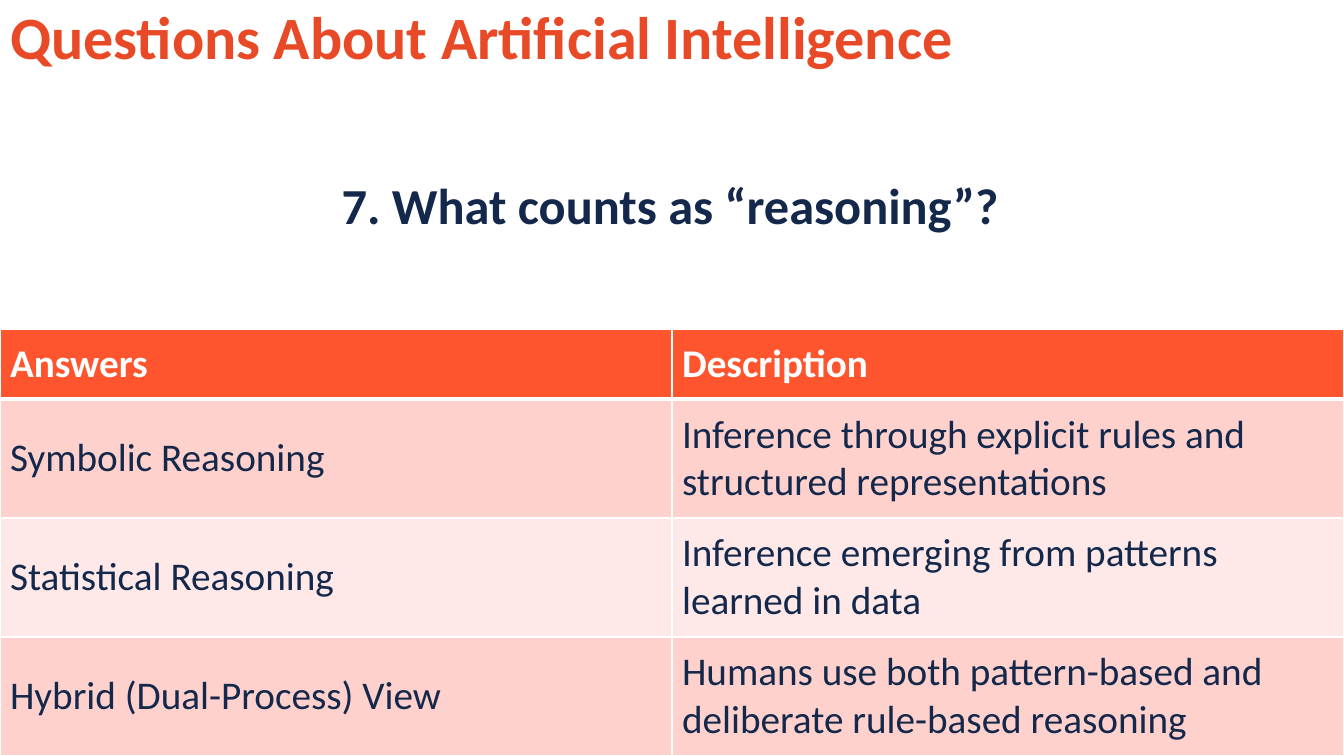
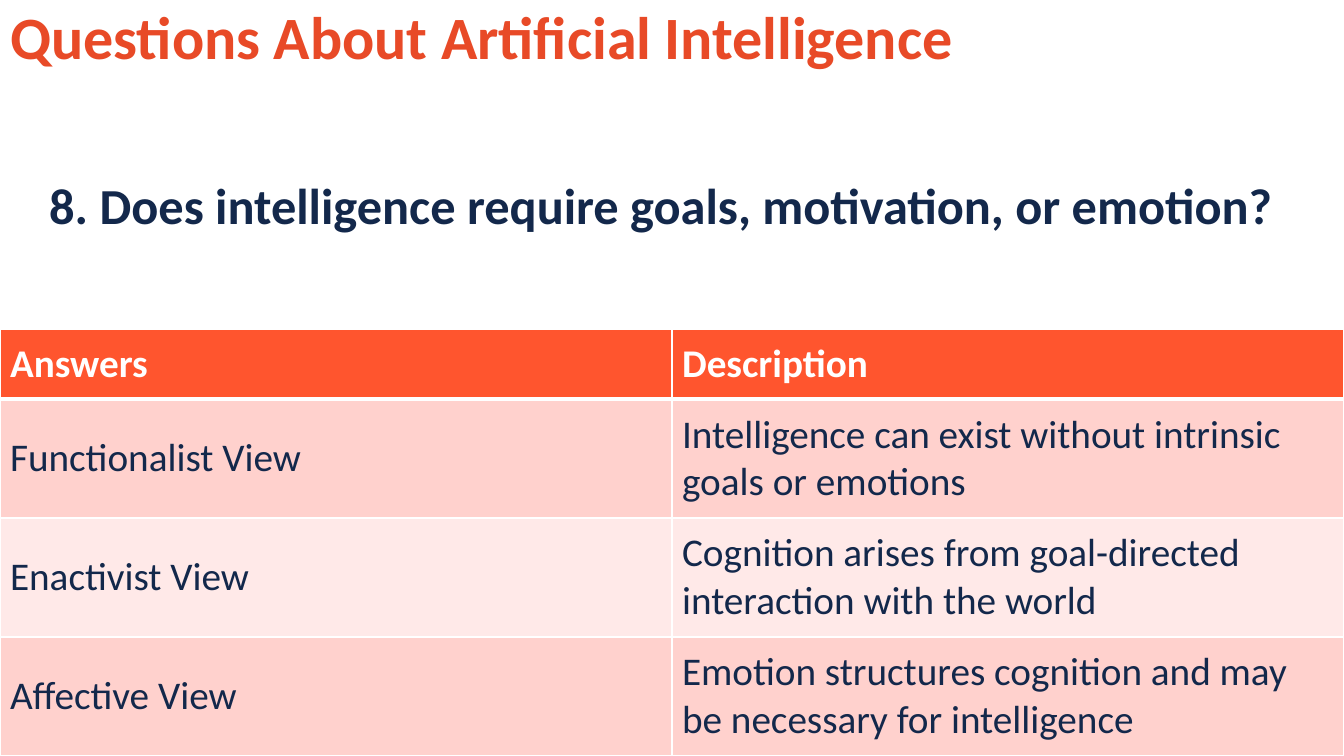
from dataclasses import dataclass

from lxml import etree
from pptx import Presentation
from pptx.dml.color import RGBColor
from pptx.enum.text import MSO_ANCHOR, MSO_AUTO_SIZE, PP_ALIGN
from pptx.oxml.ns import qn
from pptx.slide import Slide
from pptx.table import _Cell
from pptx.text.text import TextFrame
from pptx.util import Inches, Pt

LEFT = PP_ALIGN.LEFT
TOP, MIDDLE = MSO_ANCHOR.TOP, MSO_ANCHOR.MIDDLE
NO_FIT, GROW = MSO_AUTO_SIZE.NONE, MSO_AUTO_SIZE.SHAPE_TO_FIT_TEXT
TITLE_ONLY = 5

COLORS = {
    "title": "E84A27",
    "text": "13284B",
    "header": "FF552E",
    "band_dark": "FFD1CD",
    "band_light": "FFE9E8",
    "white": "FFFFFF",
}
FONT = "Calibri"
SLIDE_WIDTH, SLIDE_HEIGHT = 13.33, 7.5
TABLE_TOP, HEADER_HEIGHT, ANSWER_HEIGHT = 3.27, 0.69, 1.18
DECK_TITLE = "Questions About Artificial Intelligence"
HEADINGS = ("Answers", "Description")
THIN, THICK = 1, 3


@dataclass(frozen=True)
class Answer:
    name: str
    description: str


@dataclass(frozen=True)
class Question:
    text: str
    left: float
    width: float
    answers: tuple[Answer, ...]


QUESTIONS = (
    Question("7. What counts as “reasoning”?", 3.29, 6.76, (
        Answer("Symbolic Reasoning",
               "Inference through explicit rules and structured representations"),
        Answer("Statistical Reasoning",
               "Inference emerging from patterns learned in data"),
        Answer("Hybrid (Dual-Process) View",
               "Humans use both pattern-based and deliberate rule-based reasoning"),
    )),
    Question("8. Does intelligence require goals, motivation, or emotion?", 0.39, 12.56, (
        Answer("Functionalist View",
               "Intelligence can exist without intrinsic goals or emotions"),
        Answer("Enactivist View",
               "Cognition arises from goal-directed interaction with the world"),
        Answer("Affective View",
               "Emotion structures cognition and may be necessary for intelligence"),
    )),
)


def write_text(frame: TextFrame, text: str, *, size: float, color: str,
               bold: bool = False, anchor: MSO_ANCHOR = TOP,
               line_spacing: float = 1.0) -> None:
    frame.word_wrap = True
    frame.vertical_anchor = anchor
    paragraph = frame.paragraphs[0]
    paragraph.alignment = LEFT
    paragraph.line_spacing = line_spacing
    run = paragraph.add_run()
    run.text = text
    run.font.name = FONT
    run.font.size = Pt(size)
    run.font.bold = bold
    run.font.color.rgb = RGBColor.from_string(COLORS[color])


def set_borders(cell: _Cell, *, top: float, bottom: float) -> None:
    properties = cell._tc.get_or_add_tcPr()
    for side, points in (("L", THIN), ("R", THIN), ("T", top), ("B", bottom)):
        line = etree.SubElement(properties, qn(f"a:ln{side}"), w=str(Pt(points)))
        fill = etree.SubElement(line, qn("a:solidFill"))
        etree.SubElement(fill, qn("a:srgbClr"), val=COLORS["white"])


def add_title(slide: Slide) -> None:
    title = slide.shapes.title
    title.left, title.top = Inches(0), Inches(0)
    title.width, title.height = Inches(12.56), Inches(0.8)
    title.text_frame.auto_size = NO_FIT
    write_text(title.text_frame, DECK_TITLE, size=42.9, color="title",
               bold=True, anchor=MIDDLE, line_spacing=0.9)


def add_question(slide: Slide, question: Question) -> None:
    box = slide.shapes.add_textbox(Inches(question.left), Inches(1.68),
                                   Inches(question.width), Inches(0.71))
    box.text_frame.auto_size = GROW
    write_text(box.text_frame, question.text, size=36, color="text", bold=True)


def add_answers(slide: Slide, answers: tuple[Answer, ...]) -> None:
    rows = [HEADINGS, *((answer.name, answer.description) for answer in answers)]
    height = HEADER_HEIGHT + ANSWER_HEIGHT * len(answers)
    table = slide.shapes.add_table(
        len(rows), len(HEADINGS), Inches(0), Inches(TABLE_TOP),
        Inches(SLIDE_WIDTH), Inches(height)).table
    for row, texts in enumerate(rows):
        is_header = row == 0
        table.rows[row].height = Inches(HEADER_HEIGHT if is_header else ANSWER_HEIGHT)
        band = "header" if is_header else "band_dark" if row % 2 else "band_light"
        for column, text in enumerate(texts):
            cell = table.cell(row, column)
            set_borders(cell, top=THICK if row == 1 else THIN,
                        bottom=THICK if is_header else THIN)
            cell.fill.solid()
            cell.fill.fore_color.rgb = RGBColor.from_string(COLORS[band])
            cell.vertical_anchor = MIDDLE
            write_text(cell.text_frame, text, size=28, bold=is_header,
                       color="white" if is_header else "text", anchor=MIDDLE)


def main() -> None:
    deck = Presentation()
    deck.slide_width, deck.slide_height = Inches(SLIDE_WIDTH), Inches(SLIDE_HEIGHT)
    for question in QUESTIONS:
        slide = deck.slides.add_slide(deck.slide_layouts[TITLE_ONLY])
        add_title(slide)
        add_answers(slide, question.answers)
        add_question(slide, question)
    deck.save("out.pptx")


if __name__ == "__main__":
    main()
